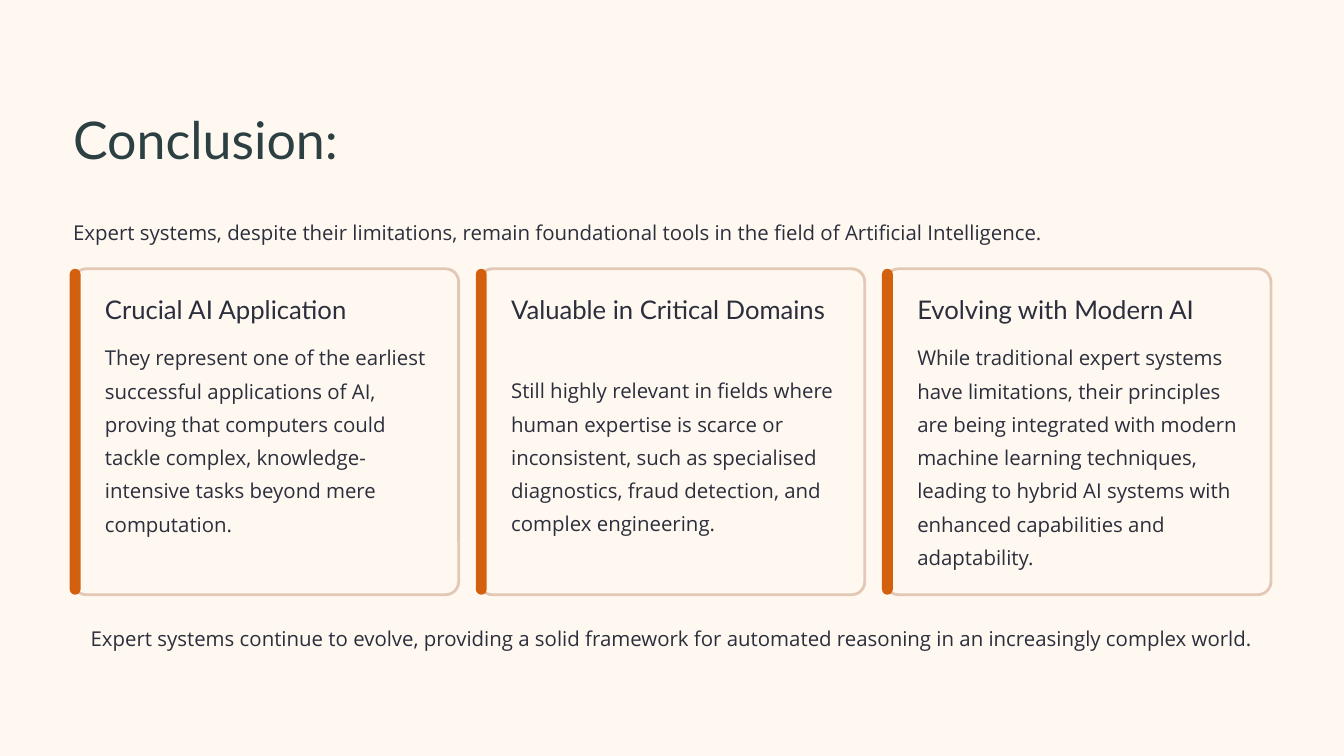
from pptx import Presentation
from pptx.dml.color import RGBColor
from pptx.enum.shapes import MSO_SHAPE
from pptx.enum.text import PP_ALIGN
from pptx.util import Inches, Pt

CREAM = RGBColor(0xFF, 0xF8, 0xF0)
SAND = RGBColor(0xE2, 0xC8, 0xB5)
ORANGE = RGBColor(0xD2, 0x60, 0x0F)
TEAL = RGBColor(0x2C, 0x3F, 0x42)
INK = RGBColor(0x2B, 0x2E, 0x3C)

MARGIN = 0.87
CONTENT_WIDTH = 14.26
CARD_TOP, CARD_WIDTH, CARD_HEIGHT = 3.2, 4.59, 3.88
CARD_STEP = (CONTENT_WIDTH - CARD_WIDTH) / 2
TEXT_WIDTH = 3.93

# heading, heading width, heading height, body top, body height, body
CARDS = [
    ("Crucial AI Application", 3.16, 0.39, 4.01, 2.38,
     "They represent one of the earliest successful applications of AI, "
     "proving that computers could tackle complex, knowledge-intensive "
     "tasks beyond mere computation."),
    ("Valuable in Critical Domains", TEXT_WIDTH, 0.78, 4.4, 1.98,
     "Still highly relevant in fields where human expertise is scarce or "
     "inconsistent, such as specialised diagnostics, fraud detection, and "
     "complex engineering."),
    ("Evolving with Modern AI", 3.52, 0.39, 4.01, 2.78,
     "While traditional expert systems have limitations, their principles "
     "are being integrated with modern machine learning techniques, leading "
     "to hybrid AI systems with enhanced capabilities and adaptability."),
]

presentation = Presentation()
presentation.slide_width = Inches(16)
presentation.slide_height = Inches(9)
slide = presentation.slides.add_slide(presentation.slide_layouts[6])
slide.background.fill.solid()
slide.background.fill.fore_color.rgb = CREAM


def add_text(text, left, top, width, height, size=17.5, line=28.5,
             font="Open Sans", color=INK, align=PP_ALIGN.LEFT):
    box = slide.shapes.add_textbox(Inches(left), Inches(top), Inches(width), Inches(height))
    frame = box.text_frame
    frame.word_wrap = True
    frame.margin_left = frame.margin_right = frame.margin_top = frame.margin_bottom = 0
    paragraph = frame.paragraphs[0]
    paragraph.alignment = align
    paragraph.line_spacing = Pt(line)
    run = paragraph.add_run()
    run.text = text
    run.font.size = Pt(size)
    run.font.name = font
    run.font.color.rgb = color


def add_card_shape(left, width, rounding, fill, outline=None):
    shape = slide.shapes.add_shape(MSO_SHAPE.ROUNDED_RECTANGLE, Inches(left),
                                   Inches(CARD_TOP), Inches(width), Inches(CARD_HEIGHT))
    shape.shadow.inherit = False
    shape.adjustments[0] = rounding
    shape.fill.solid()
    shape.fill.fore_color.rgb = fill
    if outline:
        shape.line.color.rgb = outline
        shape.line.width = Pt(2.4)
    else:
        shape.line.fill.background()


add_text("Conclusion:", MARGIN, 1.25, 6.2, 0.78, size=44.5, line=55.5, font="Lato", color=TEAL)
add_text("Expert systems, despite their limitations, remain foundational tools "
         "in the field of Artificial Intelligence.", MARGIN, 2.52, CONTENT_WIDTH, 0.4)

for index, (heading, heading_width, heading_height, body_top, body_height, body) in enumerate(CARDS):
    left = MARGIN + index * CARD_STEP
    text_left = left + 0.38
    add_card_shape(left, CARD_WIDTH, 0.04, CREAM, SAND)
    add_card_shape(left - 0.04, 0.13, 0.5, ORANGE)
    add_text(heading, text_left, 3.48, heading_width, heading_height, size=22, line=27.5, font="Lato")
    add_text(body, text_left, body_top, TEXT_WIDTH, body_height)

add_text("Expert systems continue to evolve, providing a solid framework for "
         "automated reasoning in an increasingly complex world.",
         MARGIN, 7.35, CONTENT_WIDTH, 0.4, align=PP_ALIGN.CENTER)

presentation.save("out.pptx")
